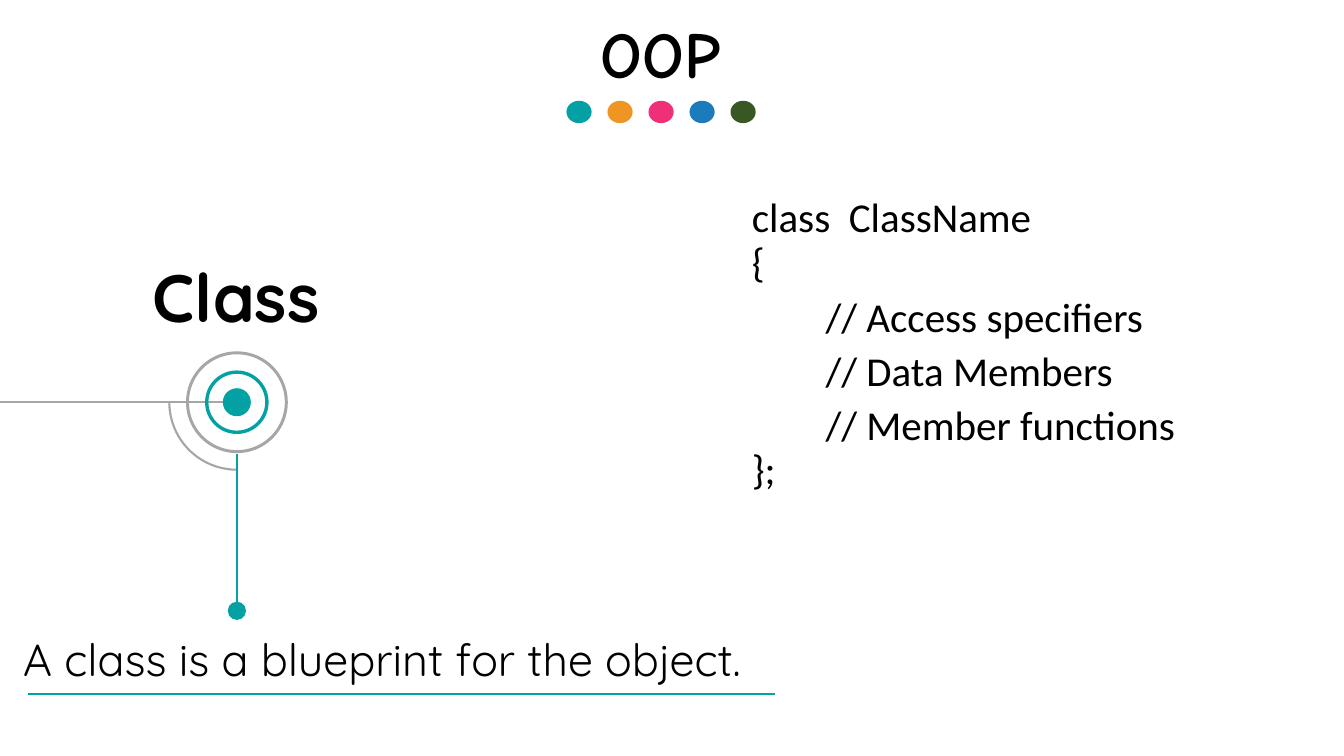
from pptx import Presentation
from pptx.dml.color import RGBColor
from pptx.enum.shapes import MSO_CONNECTOR, MSO_SHAPE
from pptx.enum.text import MSO_AUTO_SIZE, PP_ALIGN
from pptx.oxml.ns import qn
from pptx.util import Pt
from lxml import etree

OVAL, DONUT, ARC = MSO_SHAPE.OVAL, MSO_SHAPE.DONUT, MSO_SHAPE.ARC
LINE = MSO_CONNECTOR.STRAIGHT
LEFT, CENTER = PP_ALIGN.LEFT, PP_ALIGN.CENTER
GROW = MSO_AUTO_SIZE.SHAPE_TO_FIT_TEXT
TEAL, GRAY, BLACK = "03A1A4", "A6A6A6", "000000"


def paint(part, color):
    part.solid()
    part.fore_color.rgb = RGBColor.from_string(color)


prs = Presentation()
prs.slide_width, prs.slide_height = Pt(960), Pt(540)
slide = prs.slides.add_slide(prs.slide_layouts[6])
shapes = slide.shapes
paint(slide.background.fill, "FFFFFF")

mid_x, mid_y = 169.2, 287.3

size = 96.5
arc = shapes.add_shape(ARC, Pt(mid_x - size / 2), Pt(mid_y - size / 2), Pt(size), Pt(size))
arc.adjustments[0], arc.adjustments[1] = 54, 108
arc.shadow.inherit = False
arc.fill.background()
paint(arc.line.fill, GRAY)
arc.line.width = Pt(1.5)

for x1, y1, x2, y2, color in [
    (0, mid_y, 161, mid_y, GRAY),
    (mid_x, 432, mid_x, 324, TEAL),
    (20.2, 496, 553.7, 496, TEAL),
]:
    line = shapes.add_connector(LINE, Pt(x1), Pt(y1), Pt(x2), Pt(y2))
    paint(line.line.fill, color)
    line.line.width = Pt(1.5)
    etree.SubElement(line._element.spPr, qn("a:effectLst"))

for kind, y, size, ring, color in [
    (OVAL, mid_y, 20, None, TEAL),
    (DONUT, mid_y, 45.4, 0.053, TEAL),
    (DONUT, mid_y, 72.7, 0.029, GRAY),
    (OVAL, 436.3, 13, None, TEAL),
]:
    disc = shapes.add_shape(kind, Pt(mid_x - size / 2), Pt(y - size / 2), Pt(size), Pt(size))
    if ring:
        disc.adjustments[0] = ring
    disc.shadow.inherit = False
    paint(disc.fill, color)
    disc.line.fill.background()

dots = shapes.add_group_shape()
for i, color in enumerate([TEAL, "EE9524", "EF3078", "1C7CBB", "385723"]):
    dot = dots.shapes.add_shape(OVAL, Pt(404.6 + 29.3 * i), Pt(72), Pt(18), Pt(16))
    dot.shadow.inherit = False
    paint(dot.fill, color)
    dot.line.fill.background()

code = [
    ("class  ClassName", 0, 0.9),
    ("{", 0, 0.9),
    ("// Access specifiers", 52.6, 1.1),
    ("// Data Members", 52.6, 1.1),
    ("// Member functions", 52.6, 1.1),
    ("};", 0, 0.9),
]
for x, y, w, h, face, size, bold, align, rows in [
    (89.3, 178.6, 159, 65.5, "Quicksand", 48, True, CENTER, [("Class", 0, None)]),
    (9.4, 447.8, 583, 46, "Quicksand", 32, False, LEFT,
     [("A class is a blueprint for the object.", 0, None)]),
    (90, 5.8, 764, 64, "Comic Neue", 46.7, True, CENTER, [("OOP", 0, None)]),
    (530, 137.5, 404, 220, "Calibri", 29.3, False, LEFT, code),
]:
    box = shapes.add_textbox(Pt(x), Pt(y), Pt(w), Pt(h))
    frame = box.text_frame
    frame.word_wrap = True
    frame.auto_size = GROW
    for i, (text, indent, space) in enumerate(rows):
        para = frame.add_paragraph() if i else frame.paragraphs[0]
        para.text = text
        para.alignment = align
        para.line_spacing = space
        para.font.name = face
        para.font.size = Pt(size)
        para.font.bold = bold
        paint(para.font.fill, BLACK)
        if indent:
            para._p.get_or_add_pPr().set("marL", str(Pt(indent)))

prs.save("out.pptx")
